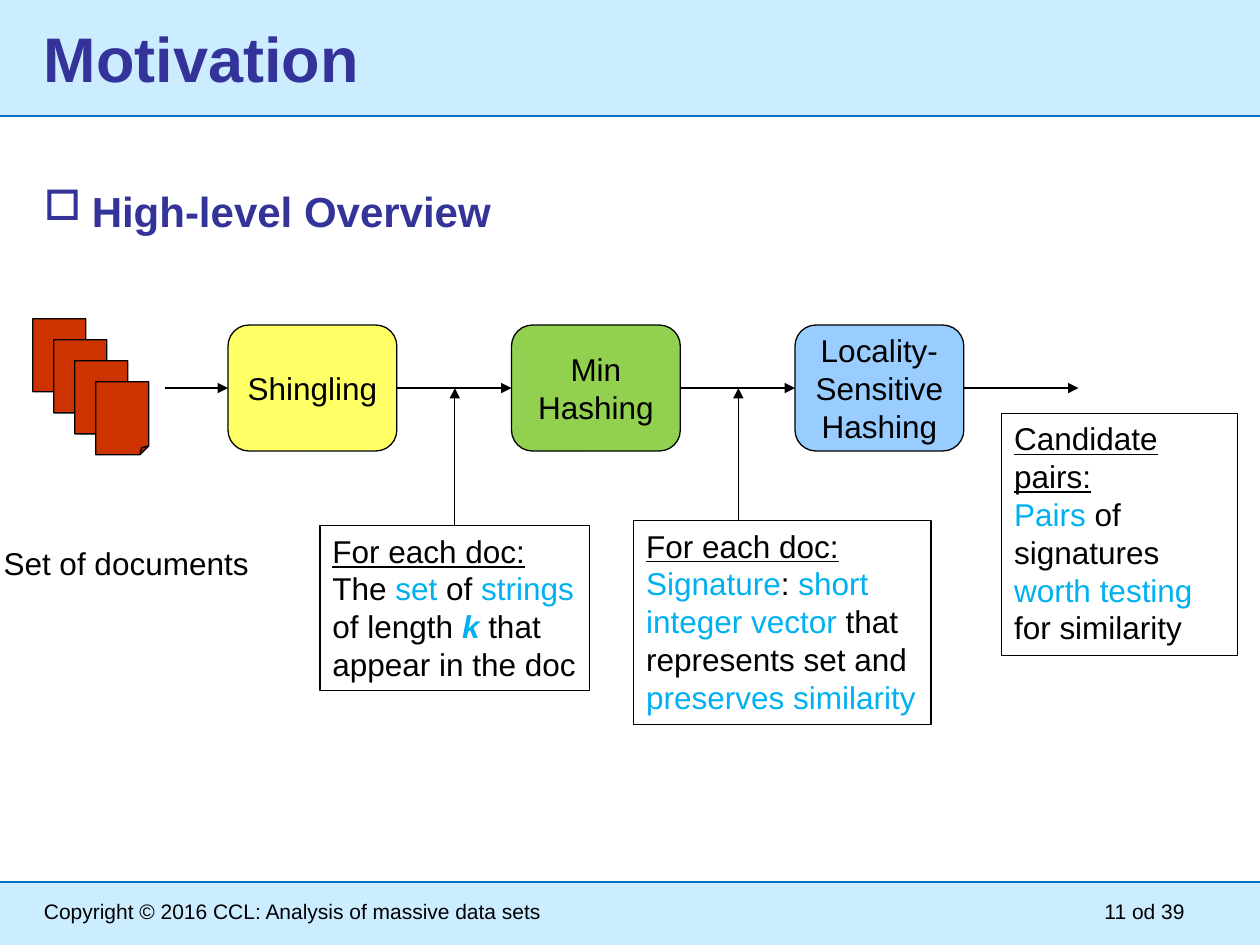
from lxml import etree
from pptx import Presentation
from pptx.dml.color import RGBColor
from pptx.enum import shapes, text
from pptx.oxml import ns
from pptx.util import Inches, Pt

HUES = {
    "black": "000000", "navy": "333399", "pale": "CCECFF", "rule": "0070C0",
    "yellow": "FFFF66", "green": "92D050", "blue": "99CCFF", "red": "CC3300",
    "cyan": "00B0F0",
}
RGB = {name: RGBColor.from_string(code) for name, code in HUES.items()}
KIND = shapes.MSO_SHAPE
ALIGN = text.PP_ALIGN
MID = text.MSO_ANCHOR.MIDDLE

deck = Presentation()
deck.slide_width, deck.slide_height = Inches(10), Inches(7.5)
slide = deck.slides.add_slide(deck.slide_layouts[6])
items = slide.shapes


def write(para, runs, size=18):
    for words, hue, style in runs:
        for n, part in enumerate(words.split("\n")):
            if n:
                para.add_line_break()
            if not part:
                continue
            run = para.add_run()
            run.text = part
            font = run.font
            font.name, font.size = "Arial", Pt(size)
            font.color.rgb = RGB[hue]
            font.bold, font.italic = "b" in style, "i" in style
            font.underline = "u" in style


def arrow(start, end, tail=None, head=None):
    line = items.add_connector(
        shapes.MSO_CONNECTOR.STRAIGHT, *[Inches(v) for v in start + end])
    if tail:
        line.begin_connect(*tail)
    if head:
        line.end_connect(*head)
    line.line.color.rgb = RGB["black"]
    line.line.width = Pt(0.75)
    tip = etree.SubElement(line.line._get_or_add_ln(), ns.qn("a:tailEnd"))
    tip.set("type", "triangle")
    etree.SubElement(line._element.spPr, ns.qn("a:effectLst"))


for top, high in [(7, 0.58), (-0.25, 1.17)]:
    band = items.add_shape(
        KIND.RECTANGLE, Inches(-0.08), Inches(top), Inches(10.17), Inches(high))
    band.shadow.inherit = False
    band.fill.solid()
    band.fill.fore_color.rgb = RGB["pale"]
    band.line.color.rgb = RGB["rule"]
    band.line.width = Pt(1.5)

labels = [
    ("Motivation", 0.25, 0.08, 9, 0.75, 36, "navy", "b", ALIGN.LEFT),
    ("High-level Overview", 0.25, 1.42, 9.25, 5.28, 24, "navy", "b", ALIGN.LEFT),
    ("Copyright © 2016 CCL: Analysis of massive data sets",
     0.25, 7.08, 6.75, 0.43, 12, "black", "", ALIGN.LEFT),
    ("11 od 39", 7.75, 7.08, 1.75, 0.43, 12, "black", "", ALIGN.RIGHT),
    ("Set of documents", -0.07, 4.27, 2.17, 0.4, 18, "black", "", ALIGN.LEFT),
]
for words, left, top, wide, high, size, hue, style, align in labels:
    box = items.add_textbox(Inches(left), Inches(top), Inches(wide), Inches(high))
    frame = box.text_frame
    frame.word_wrap = True
    para = frame.paragraphs[0]
    para.alignment = align
    if size == 36:
        frame.vertical_anchor = MID
    if size == 24:
        props = para._p.get_or_add_pPr()
        props.set("marL", str(Inches(0.38)))
        props.set("indent", str(Inches(-0.38)))
        etree.SubElement(props, ns.qn("a:buChar")).set("char", "□")
    write(para, [(words, hue, style)], size)

stages = []
for n, (words, hue) in enumerate([
        ("Shingling", "yellow"), ("Min Hashing", "green"),
        ("Locality-\nSensitive Hashing", "blue")]):
    stage = items.add_shape(
        KIND.ROUNDED_RECTANGLE, Inches(1.81 + 2.25 * n), Inches(2.58),
        Inches(1.34), Inches(1))
    stage.shadow.inherit = False
    stage.fill.solid()
    stage.fill.fore_color.rgb = RGB[hue]
    stage.line.color.rgb = RGB["black"]
    stage.line.width = Pt(0.75)
    frame = stage.text_frame
    frame.word_wrap = True
    frame.vertical_anchor = MID
    frame.paragraphs[0].alignment = ALIGN.CENTER
    write(frame.paragraphs[0], [(words, "black", "")])
    stages.append(stage)

pile = items.add_group_shape()
for n in range(4):
    sheet = pile.shapes.add_shape(
        KIND.FOLDED_CORNER, Inches(0.26 + n / 6), Inches(2.53 + n / 6),
        Inches(0.42), Inches(0.58))
    sheet.shadow.inherit = False
    sheet.fill.solid()
    sheet.fill.fore_color.rgb = RGB["red"]
    sheet.line.color.rgb = RGB["black"]
    sheet.line.width = Pt(0.75)

notes = []
for left, top, wide, high, title, runs in [
    (2.54, 4.17, 2.14, 1.31, "For each doc:", [
        ("The ", "black", ""), ("set", "cyan", ""), (" of ", "black", ""),
        ("strings", "cyan", ""), ("\nof length ", "black", ""),
        ("k", "cyan", "bi"), (" that\nappear in the doc", "black", "")]),
    (5.03, 4.13, 2.36, 1.62, "For each doc:", [
        ("Signature", "cyan", ""), (": ", "black", ""),
        ("short\ninteger vector", "cyan", ""),
        (" that\nrepresents set and\n", "black", ""),
        ("preserves similarity", "cyan", "")]),
    (7.95, 3.28, 1.87, 1.92, "Candidate pairs:", [
        ("Pairs ", "cyan", ""), ("of signatures\n", "black", ""),
        ("worth testing ", "cyan", ""), ("for similarity", "black", "")]),
]:
    note = items.add_shape(
        KIND.RECTANGLE, Inches(left), Inches(top), Inches(wide), Inches(high))
    note.shadow.inherit = False
    note.fill.background()
    note.line.color.rgb = RGB["black"]
    note.line.width = Pt(0.75)
    frame = note.text_frame
    frame.word_wrap = left > 7
    frame.vertical_anchor = text.MSO_ANCHOR.TOP
    first, rest = frame.paragraphs[0], frame.add_paragraph()
    first.alignment = rest.alignment = ALIGN.LEFT
    write(first, [(title, "black", "u")])
    write(rest, runs)
    notes.append(note)

mid = 3.08
arrow((1.31, mid), (1.81, mid), head=(stages[0], 1))
for prev, succ in zip(stages, stages[1:]):
    arrow((0, mid), (1, mid), (prev, 3), (succ, 1))
arrow((7.65, mid), (8.56, mid), tail=(stages[2], 3))
arrow((3.61, 4.17), (3.61, mid), tail=(notes[0], 0))
arrow((5.86, 4.13), (5.86, mid))

deck.save("out.pptx")
